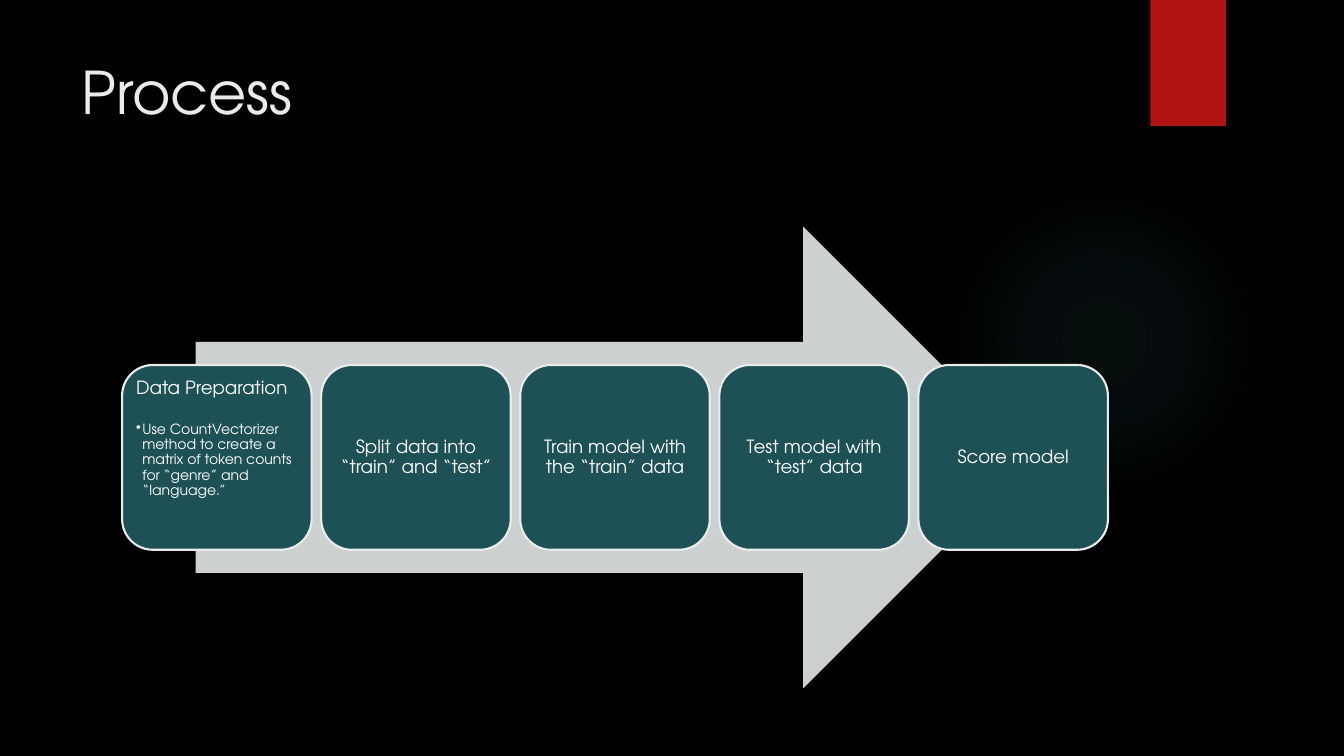
from lxml import etree
from pptx import Presentation
from pptx.dml.color import RGBColor
from pptx.enum.shapes import MSO_SHAPE
from pptx.enum.text import MSO_ANCHOR, PP_ALIGN
from pptx.oxml import parse_xml
from pptx.oxml.ns import nsdecls, qn
from pptx.util import Pt

RECT, ELLIPSE = MSO_SHAPE.RECTANGLE, MSO_SHAPE.OVAL
ARROW, ROUNDED = MSO_SHAPE.RIGHT_ARROW, MSO_SHAPE.ROUNDED_RECTANGLE
TOP, MIDDLE = MSO_ANCHOR.TOP, MSO_ANCHOR.MIDDLE
LEFT, CENTER = PP_ALIGN.LEFT, PP_ALIGN.CENTER
FONT = "TeX Gyre Adventor"
PALE = "EBEBEB"

prs = Presentation()
prs.slide_width, prs.slide_height = Pt(960), Pt(540)
s = prs.slides.add_slide(prs.slide_layouts[6])


def rgb(color):
    return RGBColor.from_string(color)


def add_block(kind, left, top, width, height, color):
    """Add a flat filled shape without outline or shadow."""
    sp = s.shapes.add_shape(kind, Pt(left), Pt(top), Pt(width), Pt(height))
    sp.shadow.inherit = False
    sp.fill.solid()
    sp.fill.fore_color.rgb = rgb(color)
    sp.line.fill.background()
    return sp


s.background.fill.solid()
s.background.fill.fore_color.rgb = rgb("000000")

# Faint radial glow
glow = add_block(ELLIPSE, 677.5, 131.8, 221.8, 221.8, "50B9C1")
stops = "".join(
    f'<a:gs pos="{pos * 1000}"><a:srgbClr val="50B9C1">'
    f'<a:alpha val="{alpha * 1000}"/></a:srgbClr></a:gs>'
    for pos, alpha in [(0, 7), (36, 6), (69, 0)])
gradient = parse_xml(
    f'<a:gradFill {nsdecls("a")}><a:gsLst>{stops}</a:gsLst><a:path path="circle">'
    '<a:fillToRect l="50000" t="50000" r="50000" b="50000"/></a:path></a:gradFill>')
solid = glow._element.spPr.find(qn("a:solidFill"))
solid.getparent().replace(solid, gradient)

# Title and red tab
title = s.shapes.add_textbox(Pt(51), Pt(36), Pt(741), Pt(110))
tf = title.text_frame
tf.word_wrap = True
tf.text = "Process"
font = tf.paragraphs[0].runs[0].font
font.name, font.size, font.color.rgb = FONT, Pt(42), rgb(PALE)
add_block(RECT, 821.7, 0, 54, 90, "B01513")

# Process arrow with its steps
add_block(ARROW, 139.7, 161.8, 599, 330, "CDD0D1")
steps = [
    ("Data Preparation",
     "Use CountVectorizer method to create a matrix of token counts "
     "for “genre” and “language.”"),
    ("Split data into “train” and “test”", None),
    ("Train model with the “train” data", None),
    ("Test model with “test” data", None),
    ("Score model", None),
]
for i, (heading, detail) in enumerate(steps):
    sp = add_block(ROUNDED, 87.2 + 142.2 * i, 260.7, 135.4, 132, "1E5155")
    sp.line.color.rgb = rgb(PALE)
    sp.line.width = Pt(1.5)
    tf = sp.text_frame
    tf.word_wrap = True
    tf.margin_left = tf.margin_right = tf.margin_top = tf.margin_bottom = Pt(3.6)
    tf.vertical_anchor = TOP if detail else MIDDLE
    tf.text = f"{heading}\n{detail}" if detail else heading
    for p, size in zip(tf.paragraphs, (13, 10)):
        p.alignment = LEFT if detail else CENTER
        p.line_spacing = 0.9
        font = p.runs[0].font
        font.name, font.size, font.color.rgb = FONT, Pt(size), rgb("FFFFFF")
    if detail:
        tf.paragraphs[0].space_after = Pt(17)
        pPr = tf.paragraphs[1]._p.get_or_add_pPr()
        pPr.set("marL", str(Pt(4.5)))
        pPr.set("indent", str(-Pt(4.5)))
        etree.SubElement(pPr, qn("a:buChar")).set("char", "•")

prs.save("out.pptx")
